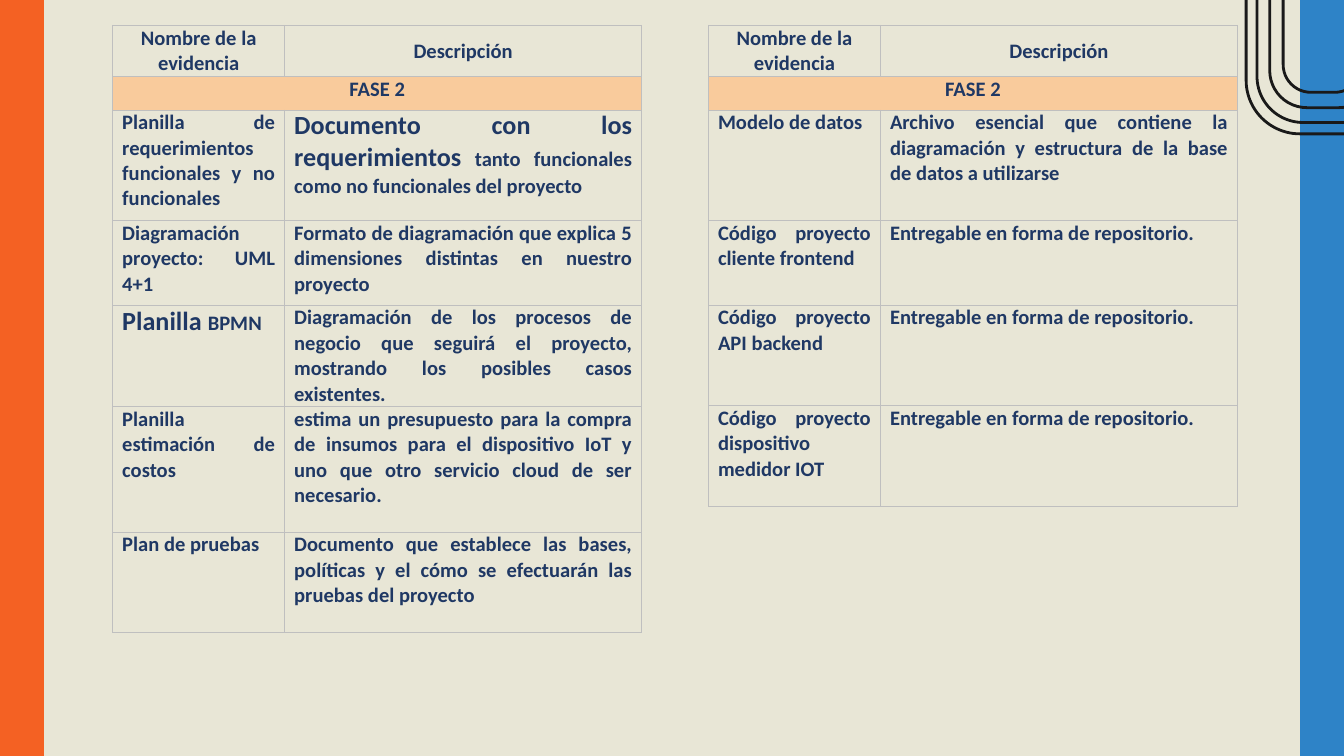
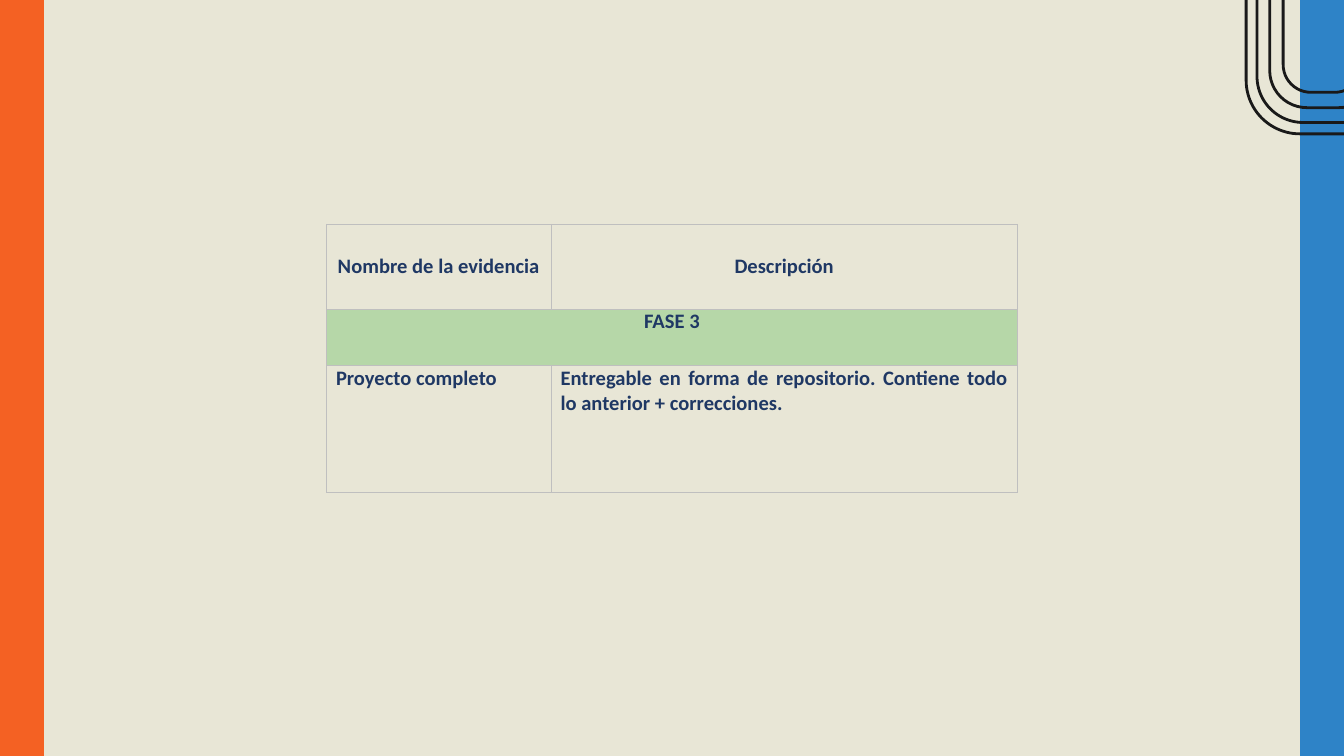
from dataclasses import dataclass

from lxml.etree import SubElement
from pptx import Presentation
from pptx.dml.color import RGBColor
from pptx.enum.shapes import MSO_SHAPE
from pptx.enum.text import MSO_ANCHOR, PP_ALIGN
from pptx.oxml.ns import qn
from pptx.util import Cm, Pt


@dataclass(frozen=True)
class Theme:
    background: str = "E8E6D6"
    left_band: str = "F46123"
    right_band: str = "2E83C7"
    arch: str = "191919"
    text: str = "1F3864"
    border: str = "BFBFBF"
    phase_two: str = "F9CB9C"
    phase_three: str = "B6D7A8"
    font: str = "Calibri"
    body: int = 11
    large: int = 14


THEME = Theme()
SLIDE_WIDTH, SLIDE_HEIGHT = 25.4, 14.29
BAND_WIDTH = 0.82
ARCH_CENTER = (25, -2.46)
ARCH_SIZES = [(9.98, 2.9), (9.55, 2.49), (8.99, 2.01), (8.41, 1.5)]
NAME_SHARE = 0.325
CELL_MARGIN = 0.18

HEADINGS = ("Nombre de la evidencia", "Descripción")
REPOSITORY = "Entregable en forma de repositorio."

REQUIREMENTS = [
    ("Planilla de requerimientos funcionales y no funcionales",
     [("Documento con los requerimientos", THEME.large),
      (" tanto funcionales como no funcionales del proyecto", THEME.body)]),
    ("Diagramación proyecto: UML 4+1",
     "Formato de diagramación que explica 5 dimensiones distintas en nuestro proyecto"),
    ([("Planilla ", THEME.large), ("BPMN", THEME.body)],
     "Diagramación de los procesos de negocio que seguirá el proyecto, "
     "mostrando los posibles casos existentes."),
    ("Planilla estimación de costos",
     "estima un presupuesto para la compra de insumos para el dispositivo IoT "
     "y uno que otro servicio cloud de ser necesario."),
    ("Plan de pruebas",
     "Documento que establece las bases, políticas y el cómo se efectuarán "
     "las pruebas del proyecto"),
]
DELIVERABLES = [
    ("Modelo de datos",
     "Archivo esencial que contiene la diagramación y estructura de la base "
     "de datos a utilizarse"),
    ("Código proyecto cliente frontend", REPOSITORY),
    ("Código proyecto API backend", REPOSITORY),
    ("Código proyecto dispositivo medidor IOT", REPOSITORY),
]
FINAL_PROJECT = [
    ("Proyecto completo", REPOSITORY + " Contiene todo lo anterior + correcciones."),
]

PHASE_TWO = ("FASE 2", THEME.phase_two)
PHASE_THREE = ("FASE 3", THEME.phase_three)
PAGES = [
    [
        dict(phase=PHASE_TWO, evidence=REQUIREMENTS, left=2.13, top=0.48, width=10,
             heights=[0.97, 0.63, 2.09, 1.6, 1.9, 2.37, 1.9]),
        dict(phase=PHASE_TWO, evidence=DELIVERABLES, left=13.39, top=0.48, width=10,
             heights=[0.97, 0.63, 2.09, 1.6, 1.9, 1.9]),
    ],
    [
        dict(phase=PHASE_THREE, evidence=FINAL_PROJECT, left=(SLIDE_WIDTH - 13.06) / 2,
             top=4.24, width=13.06, heights=[1.6, 1.07, 2.39]),
    ],
]


def color(value):
    return RGBColor.from_string(value)


def add_outline(page, kind, left, top, width, height, line, points):
    box = page.shapes.add_shape(kind, Cm(left), Cm(top), Cm(width), Cm(height))
    box.shadow.inherit = False
    box.fill.background()
    box.line.color.rgb = color(line)
    box.line.width = Pt(points)
    return box


def decorate_layout(layout, page):
    layout.background.fill.solid()
    layout.background.fill.fore_color.rgb = color(THEME.background)
    decorations = []
    for left, tint in ((0, THEME.left_band), (SLIDE_WIDTH - BAND_WIDTH, THEME.right_band)):
        band = add_outline(page, MSO_SHAPE.RECTANGLE, left, 0, BAND_WIDTH, SLIDE_HEIGHT, tint, 0.75)
        band.fill.solid()
        band.fill.fore_color.rgb = color(tint)
        decorations.append(band)
    center_x, center_y = ARCH_CENTER
    for width, height in ARCH_SIZES:
        arch = add_outline(page, MSO_SHAPE.ROUNDED_RECTANGLE, center_x - width / 2,
                           center_y - height / 2, width, height, THEME.arch, 1.5)
        arch.adjustments[0] = 0.35
        arch.rotation = 90
        decorations.append(arch)
    for box in decorations:
        layout.element.cSld.spTree.append(box.element)


def add_borders(cell):
    properties = cell._tc.get_or_add_tcPr()
    for side in ("a:lnL", "a:lnR", "a:lnT", "a:lnB"):
        line = SubElement(properties, qn(side), w=str(Pt(0.5)))
        fill = SubElement(line, qn("a:solidFill"))
        SubElement(fill, qn("a:srgbClr"), val=THEME.border)


def write_cell(cell, content, alignment):
    cell.margin_left = cell.margin_right = Cm(CELL_MARGIN)
    cell.margin_top = cell.margin_bottom = 0
    para = cell.text_frame.paragraphs[0]
    para.alignment = alignment
    spans = [(content, THEME.body)] if isinstance(content, str) else content
    for text, size in spans:
        span = para.add_run()
        span.text = text
        span.font.name = THEME.font
        span.font.size = Pt(size)
        span.font.bold = True
        span.font.color.rgb = color(THEME.text)


def add_evidence_table(page, phase, evidence, left, top, width, heights):
    frame = page.shapes.add_table(len(heights), 2, Cm(left), Cm(top), Cm(width), Cm(sum(heights)))
    table = frame.table
    table.first_row = table.horz_banding = False
    for column, share in zip(table.columns, (NAME_SHARE, 1 - NAME_SHARE)):
        column.width = Cm(width * share)
    for row, height in zip(table.rows, heights):
        row.height = Cm(height)
        for cell in row.cells:
            add_borders(cell)
            cell.fill.background()

    for cell, heading in zip(table.rows[0].cells, HEADINGS):
        write_cell(cell, heading, PP_ALIGN.CENTER)
        cell.vertical_anchor = MSO_ANCHOR.MIDDLE

    phase_name, phase_fill = phase
    banner = table.cell(1, 0)
    banner.merge(table.cell(1, 1))
    banner.fill.solid()
    banner.fill.fore_color.rgb = color(phase_fill)
    write_cell(banner, phase_name, PP_ALIGN.CENTER)

    for index, contents in enumerate(evidence, start=2):
        for cell, content in zip(table.rows[index].cells, contents):
            write_cell(cell, content, PP_ALIGN.JUSTIFY)


def main():
    deck = Presentation()
    deck.slide_width, deck.slide_height = Cm(SLIDE_WIDTH), Cm(SLIDE_HEIGHT)
    layout = deck.slide_layouts[6]
    pages = [deck.slides.add_slide(layout) for _ in PAGES]
    decorate_layout(layout, pages[0])
    for page, tables in zip(pages, PAGES):
        for table in tables:
            add_evidence_table(page, **table)
    deck.save("out.pptx")


if __name__ == "__main__":
    main()
